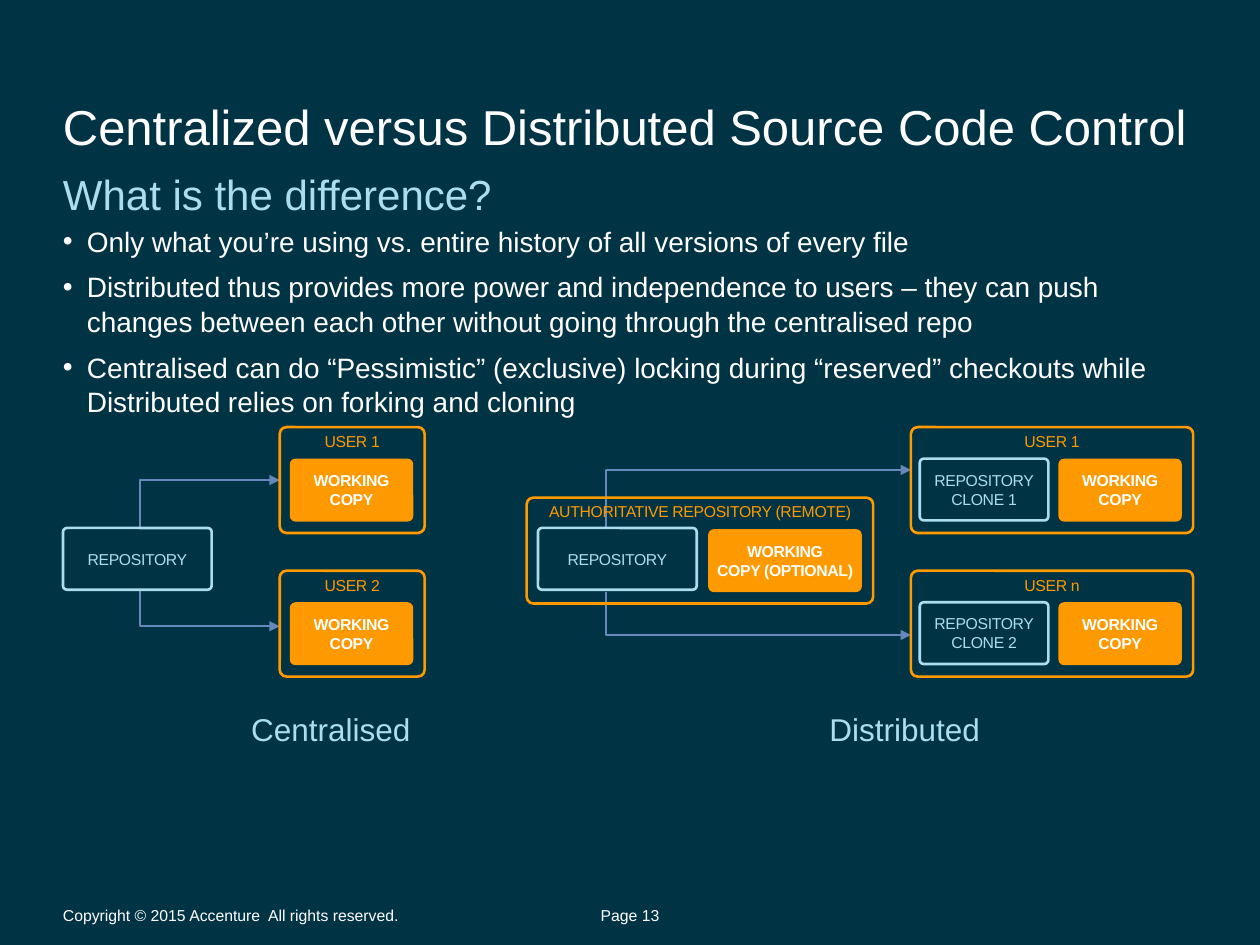
from lxml import etree
from pptx import Presentation
from pptx.dml.color import RGBColor
from pptx.enum import shapes, text
from pptx.oxml import ns
from pptx.util import Inches, Pt

NAVY, WHITE, ORANGE, AQUA, BLUE = "003344", "FFFFFF", "FF9900", "AADDEE", "6688BB"
LEFT, MIDDLE = text.PP_ALIGN.LEFT, text.MSO_ANCHOR.MIDDLE
CENTER, TOP, BOTTOM = text.PP_ALIGN.CENTER, text.MSO_ANCHOR.TOP, text.MSO_ANCHOR.BOTTOM

TITLE = "Centralized versus Distributed Source Code Control"
SUBTITLE = "What is the difference?"
BULLETS = [
    "Only what you’re using vs. entire history of all versions of every file",
    "Distributed thus provides more power and independence to users – they can push "
    "changes between each other without going through the centralised repo",
    "Centralised can do “Pessimistic” (exclusive) locking during “reserved” checkouts "
    "while Distributed relies on forking and cloning",
]
COPYRIGHT = "Copyright © 2015 Accenture  All rights reserved."
PAGE = "Page 13"
CAPTIONS = [("Centralised", 4.39, 0.24), ("Distributed", 4.58, 0.1)]

WORKING = "WORKING\nCOPY"
USER_ROWS = [3.39, 4.53]
CENTRAL_USERS = ["USER 1", "USER 2"]
DISTRIBUTED_USERS = [("USER 1", "REPOSITORY\nCLONE 1"), ("USER n", "REPOSITORY\nCLONE 2")]
ARROWS = [
    (1.11, 4.19, 3.81, 2.22),
    (1.11, 4.68, 4.97, 2.22),
    (4.81, 4.2, 3.73, 7.23),
    (4.81, 4.7, 5.04, 7.23),
]


def rgb(color):
    return RGBColor.from_string(color)


def write(tf, words, size, color, align=LEFT, anchor=TOP, margins=(0, 0.05, 0, 0),
          wrap=True, bold=False, tracking=None):
    tf.text = words
    tf.word_wrap = wrap
    tf.vertical_anchor = anchor
    tf.margin_left, tf.margin_top, tf.margin_right, tf.margin_bottom = map(Inches, margins)
    for p in tf.paragraphs:
        p.alignment = align
        for r in p.runs:
            r.font.name, r.font.size, r.font.bold = "Arial", Pt(size), bold
            r.font.color.rgb = rgb(color)
            if tracking:
                r._r.get_or_add_rPr().set("spc", str(tracking))


def label(s, box, words, size, color, **style):
    tf = s.shapes.add_textbox(*map(Inches, box)).text_frame
    write(tf, words, size, color, **style)
    return tf


def bullets(tf):
    for i, p in enumerate(tf.paragraphs):
        pPr = p._p.get_or_add_pPr()
        pPr.set("marL", str(Inches(0.19)))
        pPr.set("indent", str(-Inches(0.19)))
        p.line_spacing = 1.04
        if i:
            p.space_before = Pt(6)
        etree.SubElement(pPr, ns.qn("a:buFont"), typeface="Arial")
        etree.SubElement(pPr, ns.qn("a:buChar"), char="•")


def rounded(s, box, words, color, radius, filled=False, anchor=MIDDLE, inset=0):
    sp = s.shapes.add_shape(shapes.MSO_SHAPE.ROUNDED_RECTANGLE, *map(Inches, box))
    sp.shadow.inherit = False
    sp.adjustments[0] = radius
    if filled:
        sp.fill.solid()
        sp.fill.fore_color.rgb = rgb(color)
        sp.line.fill.background()
    else:
        sp.fill.background()
        sp.line.color.rgb = rgb(color)
        sp.line.width = Pt(1.5)
    write(sp.text_frame, words, 9, WHITE if filled else color, align=CENTER, anchor=anchor,
          margins=(0, inset, 0, 0), wrap=False, bold=filled, tracking=-20)


def frame(s, x, y, w, words):
    rounded(s, (x, y, w, 0.84), words, ORANGE, 0.064, anchor=TOP, inset=0.02)


def working_copy(s, x, y, w=0.98, words=WORKING):
    rounded(s, (x, y, w, 0.5), words, ORANGE, 0.09, filled=True)


def repository(s, x, y, w, words="REPOSITORY"):
    rounded(s, (x, y, w, 0.49), words, AQUA, 0.064)


def elbow_arrow(s, x, y, turn_y, end_x):
    path = s.shapes.build_freeform(Inches(x), Inches(y))
    path.add_line_segments([(Inches(x), Inches(turn_y)), (Inches(end_x), Inches(turn_y))],
                           close=False)
    sp = path.convert_to_shape()
    sp.shadow.inherit = False
    sp.fill.background()
    sp.line.color.rgb = rgb(BLUE)
    sp.line.width = Pt(1)
    etree.SubElement(sp.line._get_or_add_ln(), ns.qn("a:tailEnd"), type="triangle")


def captions(s):
    width = sum(w for _, w, _ in CAPTIONS)
    box = map(Inches, (0.5, 5.61, width, 0.41))
    table = s.shapes.add_table(1, len(CAPTIONS), *box).table
    table.first_row = table.horz_banding = False
    for i, (words, w, right) in enumerate(CAPTIONS):
        table.columns[i].width = Inches(w)
        cell = table.cell(0, i)
        cell.fill.background()
        write(cell.text_frame, words, 18, AQUA, align=CENTER)
        cell.margin_left, cell.margin_right = Inches(0.1), Inches(right)
        cell.margin_top = cell.margin_bottom = Inches(0.05)
        tcPr = cell._tc.get_or_add_tcPr()
        for n, side in enumerate(("lnL", "lnR", "lnT", "lnB")):
            ln = etree.Element(ns.qn("a:" + side), w="0")
            etree.SubElement(ln, ns.qn("a:noFill"))
            tcPr.insert(n, ln)


def main():
    prs = Presentation()
    prs.slide_width, prs.slide_height = Inches(10), Inches(7.5)
    s = prs.slides.add_slide(prs.slide_layouts[6])
    s.background.fill.solid()
    s.background.fill.fore_color.rgb = rgb(NAVY)

    label(s, (0.5, 0.13, 9, 1.1), TITLE, 28, WHITE, anchor=BOTTOM)
    label(s, (0.5, 1.29, 9, 0.43), SUBTITLE, 24, AQUA)
    bullets(label(s, (0.5, 1.72, 9, 5.2), "\n".join(BULLETS), 16, WHITE))
    label(s, (0.5, 7.19, 3.94, 0.14), COPYRIGHT, 9, WHITE, anchor=MIDDLE,
          margins=(0, 0.05, 0.1, 0.05))
    label(s, (4.62, 7.19, 0.76, 0.14), PAGE, 9, WHITE, align=CENTER, anchor=MIDDLE,
          margins=(0, 0.05, 0, 0.05))
    captions(s)

    for arrow in ARROWS:
        elbow_arrow(s, *arrow)

    repository(s, 0.5, 4.19, 1.18)
    for y, user in zip(USER_ROWS, CENTRAL_USERS):
        frame(s, 2.22, y, 1.15, user)
        working_copy(s, 2.3, y + 0.25)

    frame(s, 4.18, 3.95, 2.75, "AUTHORITATIVE REPOSITORY (REMOTE)")
    repository(s, 4.27, 4.19, 1.26)
    working_copy(s, 5.62, 4.2, 1.22, "WORKING\nCOPY (OPTIONAL)")
    for y, (user, clone) in zip(USER_ROWS, DISTRIBUTED_USERS):
        frame(s, 7.23, y, 2.24, user)
        repository(s, 7.3, y + 0.25, 1.02, clone)
        working_copy(s, 8.4, y + 0.25)

    prs.save("out.pptx")


if __name__ == "__main__":
    main()
